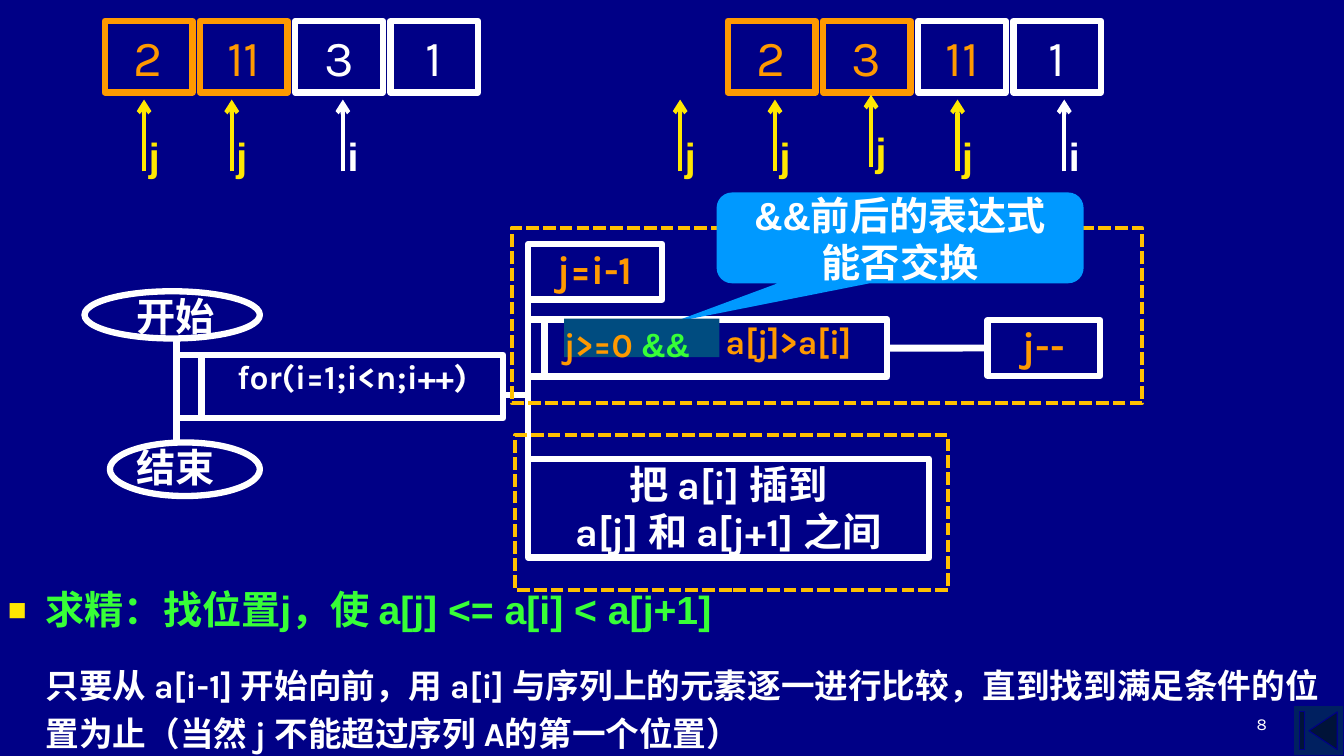
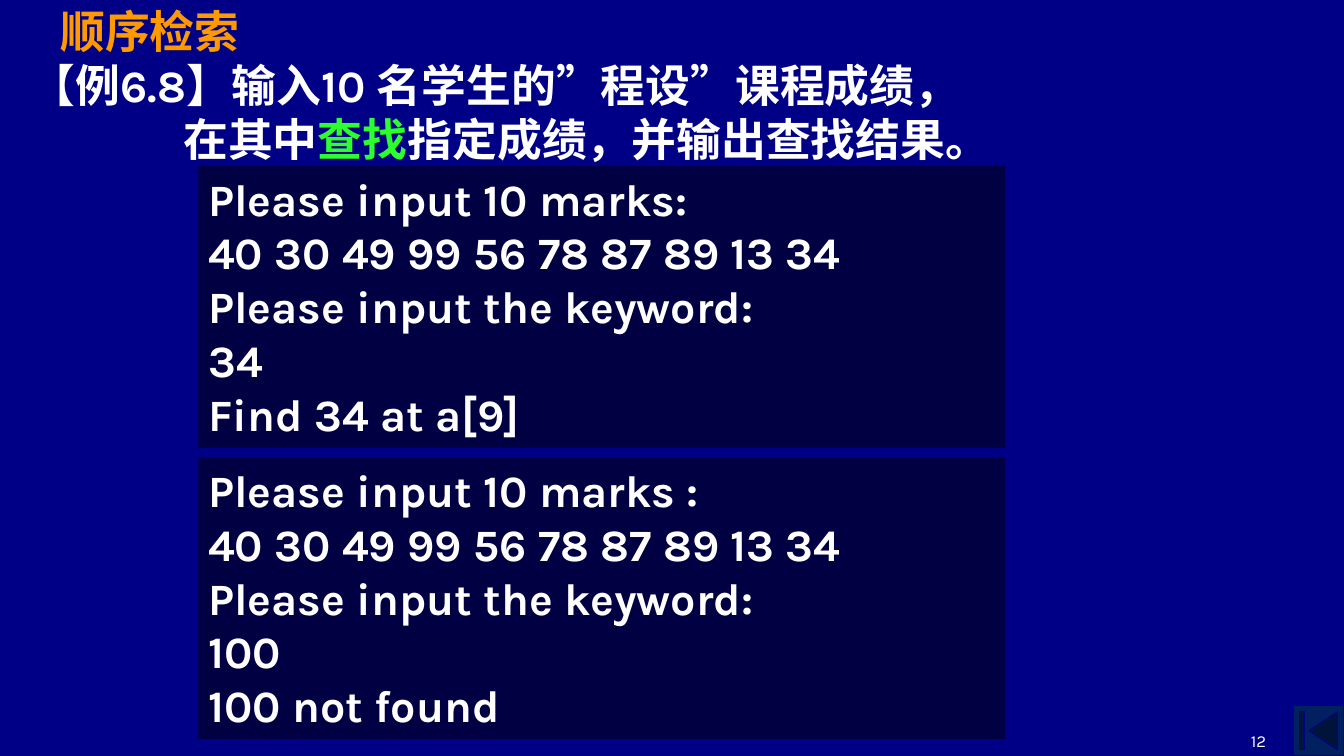
from dataclasses import dataclass

from lxml.etree import SubElement
from pptx import Presentation
from pptx.dml.color import RGBColor as RGB
from pptx.enum.dml import MSO_LINE as Dash
from pptx.enum.shapes import MSO_CONNECTOR as Link, MSO_SHAPE as Form
from pptx.enum.text import MSO_ANCHOR as Anchor, MSO_AUTO_SIZE as Auto, PP_ALIGN as Align
from pptx.oxml.ns import qn
from pptx.util import Cm, Pt


@dataclass(frozen=True)
class Theme:
    back: str = "000086"
    white: str = "FFFFFF"
    orange: str = "FF9900"
    yellow: str = "FFE701"
    green: str = "37FF37"
    lime: str = "2CFF2C"
    gold: str = "FFC000"
    sky: str = "0099FF"
    teal: str = "004C80"
    dark: str = "000043"
    navy: str = "002060"
    karla: str = "Karla"
    arial: str = "Arial"
    tiny: int = 12
    small: int = 24
    mid: int = 28
    large: int = 32
    huge: int = 36
    thin: float = 3
    thick: float = 4.5


T = Theme()
SNUG = (0.03,) * 4
PAD = (0.25, 0.13, 0.25, 0.13)
FLAT = (0, 0.13, 0, 0.13)


# Text
def run(text, size=T.mid, color=T.white, font=T.karla, bold=True):
    return text, size, color, font, bold


def write(shape, paras, align=Align.LEFT, anchor=Anchor.TOP, inset=PAD):
    """Fill a shape with paragraphs, each one a list of runs."""
    frame = shape.text_frame
    frame.word_wrap = True
    frame.auto_size = Auto.NONE
    frame.vertical_anchor = anchor
    (frame.margin_left, frame.margin_top,
     frame.margin_right, frame.margin_bottom) = map(Cm, inset)
    for n, runs in enumerate(paras):
        para = frame.add_paragraph() if n else frame.paragraphs[0]
        para.alignment = align
        for text, size, color, font, bold in runs:
            part = para.add_run()
            part.text = text
            part.font.size = Pt(size)
            part.font.name = font
            part.font.bold = bold
            part.font.color.rgb = RGB.from_string(color)
    return frame.paragraphs


def indent(para, left, first=0, bullet=None):
    """Set the indents of a paragraph and its bullet, if any."""
    props = para._p.get_or_add_pPr()
    props.set("marL", str(Cm(left)))
    props.set("indent", str(Cm(first)))
    if bullet:
        tint = SubElement(props, qn("a:buClr"))
        SubElement(tint, qn("a:srgbClr"), val=T.yellow)
        SubElement(props, qn("a:buSzPct"), val="80000")
        SubElement(props, qn("a:buChar"), char=bullet)
    else:
        SubElement(props, qn("a:buNone"))
    para.space_before = para.space_after = Pt(0)


def place(shape, x, y, w, h):
    shape.left, shape.top, shape.width, shape.height = map(Cm, (x, y, w, h))
    return shape


def label(slide, x, y, w, h, paras, **look):
    box = slide.shapes.add_textbox(*map(Cm, (x, y, w, h)))
    return write(box, paras, **look)


# Shapes and lines
def draw(slide, x, y, w, h, form=Form.RECTANGLE, fill=None, line=None,
         width=T.thick):
    shape = slide.shapes.add_shape(form, *map(Cm, (x, y, w, h)))
    shape.shadow.inherit = False
    if fill:
        shape.fill.solid()
        shape.fill.fore_color.rgb = RGB.from_string(fill)
    else:
        shape.fill.background()
    if line:
        shape.line.color.rgb = RGB.from_string(line)
        shape.line.width = Pt(width)
    else:
        shape.line.fill.background()
    return shape


def block(slide, x, y, w, h, *paras, align=Align.CENTER):
    """A white outlined step of the flow chart."""
    shape = draw(slide, x, y, w, h, line=T.white)
    if paras:
        write(shape, paras, align, inset=SNUG)
    return shape


def line(slide, x1, y1, x2, y2, color=T.white, width=T.thick, arrow=False):
    link = slide.shapes.add_connector(
        Link.STRAIGHT, *map(Cm, (x1, y1, x2, y2)))
    link.line.color.rgb = RGB.from_string(color)
    link.line.width = Pt(width)
    if arrow:
        SubElement(link.line._get_or_add_ln(), qn("a:tailEnd"), type="arrow")
    SubElement(link._element.spPr, qn("a:effectLst"))
    return link


def dashed(slide, x, y, w, h):
    shape = draw(slide, x, y, w, h, line=T.gold, width=T.thin)
    shape.line.dash_style = Dash.SQUARE_DOT


def cells(slide, left, items):
    """A row of array cells, each with its value, text and line colours."""
    for n, (value, color, edge) in enumerate(items):
        cell = draw(slide, left + 2.4 * n, 0.53, 2.21, 1.8, line=edge)
        write(cell, [[run(value, T.huge, color, bold=False)]], Align.CENTER)


def marker(slide, name, x, color=T.yellow, rise=0):
    """An upward arrow with the name of an index beside it."""
    line(slide, x, 4.32 - rise, x, 2.51 - rise, color, T.thin, arrow=True)
    paras = label(slide, x - 1.4, 3.33 - rise, 2.8, 1.32,
                  [[run(name, T.mid, color, T.arial)]],
                  inset=(1.52, 0.13, 0.25, 0.13))
    paras[0].line_spacing = 0.9


def oval(slide, x, y, w, h, text):
    draw(slide, x, y, w, h, Form.OVAL, line=T.white)
    label(slide, 3.4, y, 2.4, 1.1, [[run(text)]], inset=SNUG)


# Shared page parts
def page(deck, number, x, y, w):
    slide = deck.slides.add_slide(deck.slide_layouts[1])
    draw(slide, 32.59, 17.78, 1.27, 1.27, Form.ACTION_BUTTON_BEGINNING,
         T.navy, T.back, 0.75)
    label(slide, x, y, w, 1.27, [[run(number, T.tiny, bold=False)]],
          align=Align.RIGHT, anchor=Anchor.BOTTOM)
    return slide


# Insertion sort
def flow(slide):
    oval(slide, 2.13, 7.34, 4.42, 1.19, "开始")
    block(slide, 4.45, 8.94, 0.63, 1.6)
    block(slide, 5.08, 8.94, 7.6, 1.6, [run("for(i=1;i<n;i++)", T.small)])
    line(slide, 12.68, 9.96, 13.31, 9.96)
    line(slide, 4.45, 8.53, 4.45, 11.15)
    oval(slide, 2.77, 11.15, 3.78, 1.35, "结束")
    line(slide, 13.31, 6.15, 13.31, 12.95)
    block(slide, 13.31, 11.56, 10.11, 2.49,
          [run("把 a[i] 插到")], [run("a[j] 和 a[j+1] 之间")])
    step = block(slide, 24.89, 8.07, 2.84, 1.4, [run("j--", color=T.orange)])
    block(slide, 13.31, 8.05, 0.43, 1.44)
    test = block(slide, 13.72, 8.05, 8.64, 1.44,
                 [run("a[j]>a[i]", T.small, T.orange)], align=Align.LEFT)
    indent(test.text_frame.paragraphs[0], 4.54)
    block(slide, 13.31, 6.15, 3.38, 1.4, [run("j=i-1", color=T.orange)])
    link = line(slide, 22.36, 8.77, 24.89, 8.77, width=5)
    link.begin_connect(test, 3)
    link.end_connect(step, 1)


def notes(slide):
    dashed(slide, 12.9, 5.74, 15.88, 4.42)
    bubble = draw(slide, 18.06, 4.85, 9.25, 2.29,
                  Form.ROUNDED_RECTANGULAR_CALLOUT, T.sky)
    for n, value in enumerate((-0.62, 0.93, 0.17)):
        bubble.adjustments[n] = value
    write(bubble, [[run(text, font=T.arial)]
                   for text in ("&&前后的表达式", "能否交换")],
          Align.CENTER, Anchor.MIDDLE, FLAT)
    dashed(slide, 12.98, 10.97, 10.92, 3.89)
    patch = draw(slide, 14.22, 8.03, 3.91, 0.97, fill=T.teal)
    write(patch, [[run("j>=0 ", T.small, T.orange),
                   run("&&", T.small, T.green, T.arial)]], inset=FLAT)


def insertion(deck):
    slide = page(deck, "8", 24.28, 17.35, 7.9)
    title = slide.shapes.title._element
    title.getparent().remove(title)
    body = place(slide.placeholders[1], -0.05, 14.63, 33.81, 5.79)
    goal, hint = write(body, [
        [run("求精：找位置j，使 a[j] <= a[i] < a[j+1]", T.mid, T.green, T.arial)],
        [run("只要从 a[i-1] 开始向前，用 a[i] 与序列上的元素逐一进行比较，"
             "直到找到满足条件的位置为止（当然 j 不能超过序列 A的第一个位置）",
             T.small)]])
    indent(goal, 0.95, -0.95, "■")
    indent(hint, 0.95)
    goal.space_after = Pt(9)
    hint.space_before = Pt(8)
    hint.line_spacing = 1.2
    flow(slide)
    hot, plain = (T.orange, T.orange), (T.white, T.white)
    cells(slide, 2.64, [("2", *hot), ("11", *hot), ("3", *plain), ("1", *plain)])
    cells(slide, 18.34, [("2", *hot), ("3", *hot),
                         ("11", T.orange, T.white), ("1", *plain)])
    for x in (8.64, 26.82):
        marker(slide, "i", x, T.white)
    for x in (3.63, 5.84, 17.14, 19.53, 24.13):
        marker(slide, "j", x)
    marker(slide, "j", 21.95, rise=0.12)
    notes(slide)


# Sequential search
def search(deck):
    slide = page(deck, "12", 26.24, 17.78, 5.92)
    title = place(slide.shapes.title, 1.27, -0.1, 5.23, 1.75)
    write(title, [[run("顺序检索", T.large, T.orange)]], anchor=Anchor.MIDDLE)
    body = place(slide.placeholders[1], 0, 1.32, 33.86, 3.4)
    task, more = write(body, [
        [run("【例6.8】输入10 名学生的”程设”课程成绩，", T.large)],
        [run("在其中", T.large), run("查找", T.large, T.lime),
         run("指定成绩，并输出查找结果。", T.large)]])
    indent(task, 0.53)
    indent(more, 4.37)
    marks = "40 30 49 99 56 78 87 89 13 34"
    ask = "Please input the keyword:"
    screens = (
        (4.19, ("Please input 10 marks:", marks, ask, "34", "Find 34 at a[9]")),
        (11.53, ("Please input 10 marks :", marks, ask, "100", "100 not found")))
    for y, rows in screens:
        screen = draw(slide, 5, y, 20.33, 7.09, fill=T.dark)
        write(screen, [[run(row, T.large)] for row in rows])


def main():
    deck = Presentation()
    deck.slide_width, deck.slide_height = Cm(33.87), Cm(19.05)
    fill = deck.slide_master.background.fill
    fill.solid()
    fill.fore_color.rgb = RGB.from_string(T.back)
    insertion(deck)
    search(deck)
    deck.save("out.pptx")


if __name__ == "__main__":
    main()
